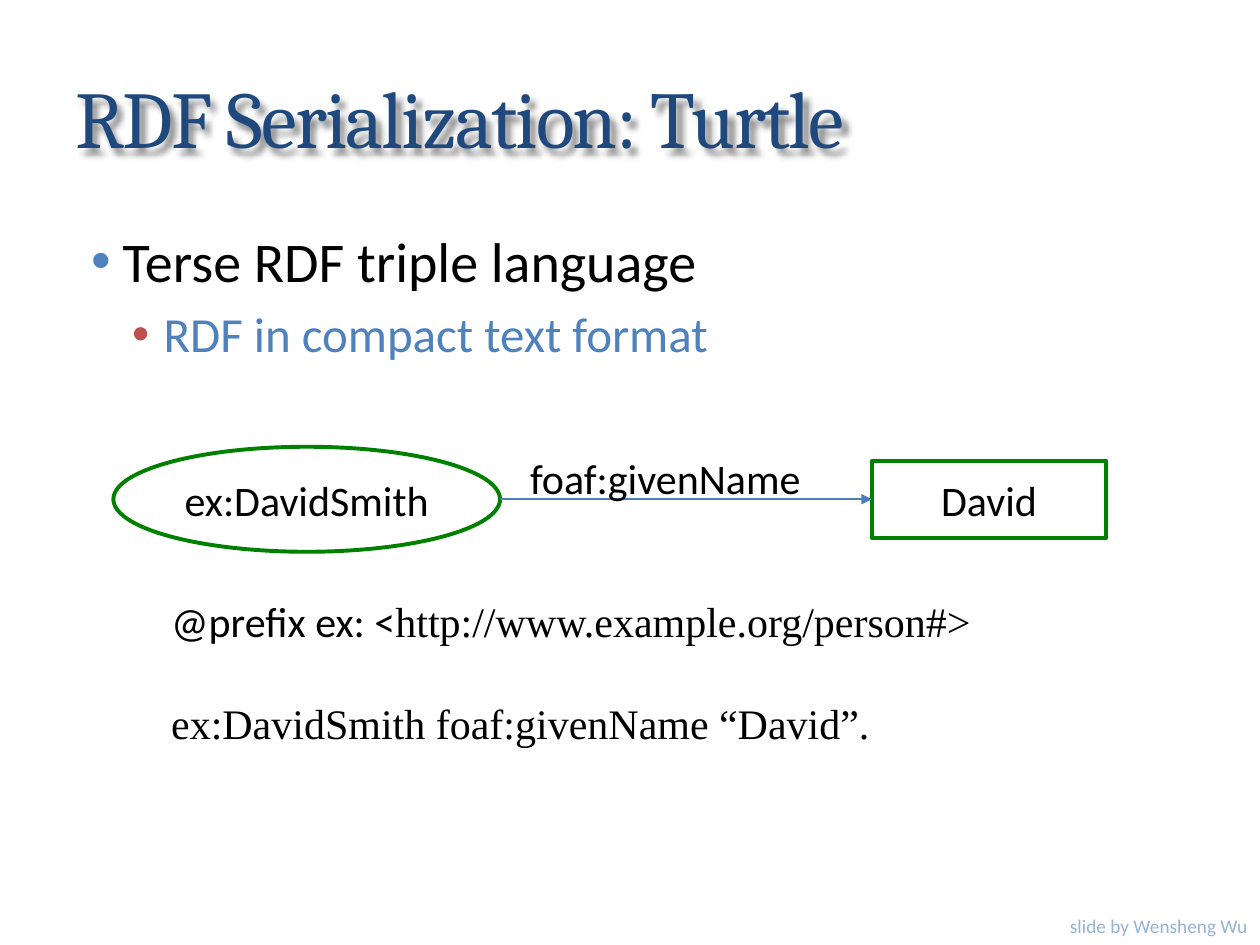
from lxml import etree
from pptx import Presentation
from pptx import util as u
from pptx.dml.color import RGBColor
from pptx.enum import shapes, text
from pptx.oxml import parse_xml
from pptx.oxml.ns import nsdecls, qn

Pt = u.Pt
COLORS = {
    "title": "1F497D", "text": "000000", "blue": "4F81BD", "red": "C0504D",
    "green": "008000", "arrow": "4B7EBC", "credit": "95B3D7",
}


def color(name):
    return RGBColor.from_string(COLORS[name])


def format_runs(paragraph, size, color_name="text", font="Calibri"):
    for run in paragraph.runs:
        run.font.size = Pt(size)
        run.font.name = font
        run.font.color.rgb = color(color_name)


def add_text(slide, box, content, anchor=text.MSO_ANCHOR.TOP):
    shape = slide.shapes.add_textbox(*map(Pt, box))
    frame = shape.text_frame
    frame.word_wrap = True
    frame.vertical_anchor = anchor
    frame.text = content
    return shape


def add_title(slide, box):
    shape = add_text(slide, box, "RDF Serialization: Turtle", text.MSO_ANCHOR.MIDDLE)
    paragraph = shape.text_frame.paragraphs[0]
    format_runs(paragraph, 46, "title", "Cambria")
    paragraph.runs[0].font._element.set("spc", "-100")
    # Soft shadow cast by the unfilled box's text
    shape._element.spPr.append(parse_xml(
        f'<a:effectLst {nsdecls("a")}>'
        '<a:outerShdw blurRad="50800" dist="50800" dir="2700000" algn="tl" rotWithShape="0">'
        '<a:srgbClr val="000000"><a:alpha val="45000"/></a:srgbClr>'
        '</a:outerShdw></a:effectLst>'))


def add_bullets(slide, box):
    # wording, size, text colour, bullet colour, left margin, space before
    items = [
        ("Terse RDF triple language", 32, "text", "blue", 27, 0),
        ("RDF in compact text format", 28, "blue", "red", 50.4, 5.6),
    ]
    frame = add_text(slide, box, "\n".join(item[0] for item in items)).text_frame
    for level, (paragraph, item) in enumerate(zip(frame.paragraphs, items)):
        _, size, color_name, bullet_color, margin, space = item
        properties = paragraph._p.get_or_add_pPr()
        properties.set("marL", str(Pt(margin)))
        properties.set("indent", str(Pt(-18)))
        bullet = etree.SubElement(properties, qn("a:buClr"))
        etree.SubElement(bullet, qn("a:srgbClr"), val=COLORS[bullet_color])
        etree.SubElement(properties, qn("a:buFont"), typeface="Arial")
        etree.SubElement(properties, qn("a:buChar"), char="•")
        paragraph.level = level
        paragraph.space_before = Pt(space)
        format_runs(paragraph, size, color_name)


def add_node(slide, kind, box, label):
    shape = slide.shapes.add_shape(kind, *map(Pt, box))
    shape.shadow.inherit = False
    shape.fill.background()
    shape.line.color.rgb = color("green")
    shape.line.width = Pt(2.25)
    frame = shape.text_frame
    frame.vertical_anchor = text.MSO_ANCHOR.MIDDLE
    frame.text = label
    frame.paragraphs[0].alignment = text.PP_ALIGN.CENTER
    format_runs(frame.paragraphs[0], 24)
    return shape


def add_triple(slide, box):
    left, top, width, height = box
    middle = top + height / 2
    subject_width, value_width, value_height = 221, 134, 44
    value_left = left + width - value_width

    # Subject and value
    add_node(slide, shapes.MSO_SHAPE.OVAL, (left, top, subject_width, height), "ex:DavidSmith")
    value = add_node(slide, shapes.MSO_SHAPE.RECTANGLE,
                     (value_left, middle - value_height / 2, value_width, value_height), "David")

    # Predicate arrow and its label
    arrow = slide.shapes.add_connector(
        shapes.MSO_CONNECTOR.STRAIGHT,
        Pt(left + subject_width), Pt(middle), Pt(value_left), Pt(middle))
    arrow.end_connect(value, 1)
    arrow.line.color.rgb = color("arrow")
    arrow.line.width = Pt(1)
    etree.SubElement(arrow.line._get_or_add_ln(), qn("a:tailEnd"), type="triangle")
    etree.SubElement(arrow._element.spPr, qn("a:effectLst"))
    label = add_text(slide, (left + subject_width + 10, top, 184, 36), "foaf:givenName")
    format_runs(label.text_frame.paragraphs[0], 24)


def add_code(slide, box):
    frame = add_text(slide, box, "@prefix ex: <").text_frame
    prefix = frame.paragraphs[0]
    prefix.add_run().text = "http://www.example.org/person#>"
    statement = frame.add_paragraph()
    statement.text = "ex:DavidSmith foaf:givenName “David”."
    statement.space_before = Pt(29)
    for paragraph in (prefix, statement):
        format_runs(paragraph, 24, font="Times New Roman")
    prefix.runs[0].font.name = "Calibri"


def add_credit(slide, box):
    paragraph = add_text(slide, box, "slide by Wensheng Wu").text_frame.paragraphs[0]
    paragraph.alignment = text.PP_ALIGN.RIGHT
    format_runs(paragraph, 11, "credit")


def main():
    presentation = Presentation()
    presentation.slide_width, presentation.slide_height = Pt(720), Pt(540)
    slide = presentation.slides.add_slide(presentation.slide_layouts[6])
    add_title(slide, (36, 21.6, 648.7, 90))
    add_bullets(slide, (36, 126, 648, 378))
    add_code(slide, (90.7, 337, 481.7, 152.6))
    add_triple(slide, (64.8, 255.3, 567.4, 60))
    add_credit(slide, (602.6, 519.1, 117.4, 20.9))
    presentation.save("out.pptx")


if __name__ == "__main__":
    main()
